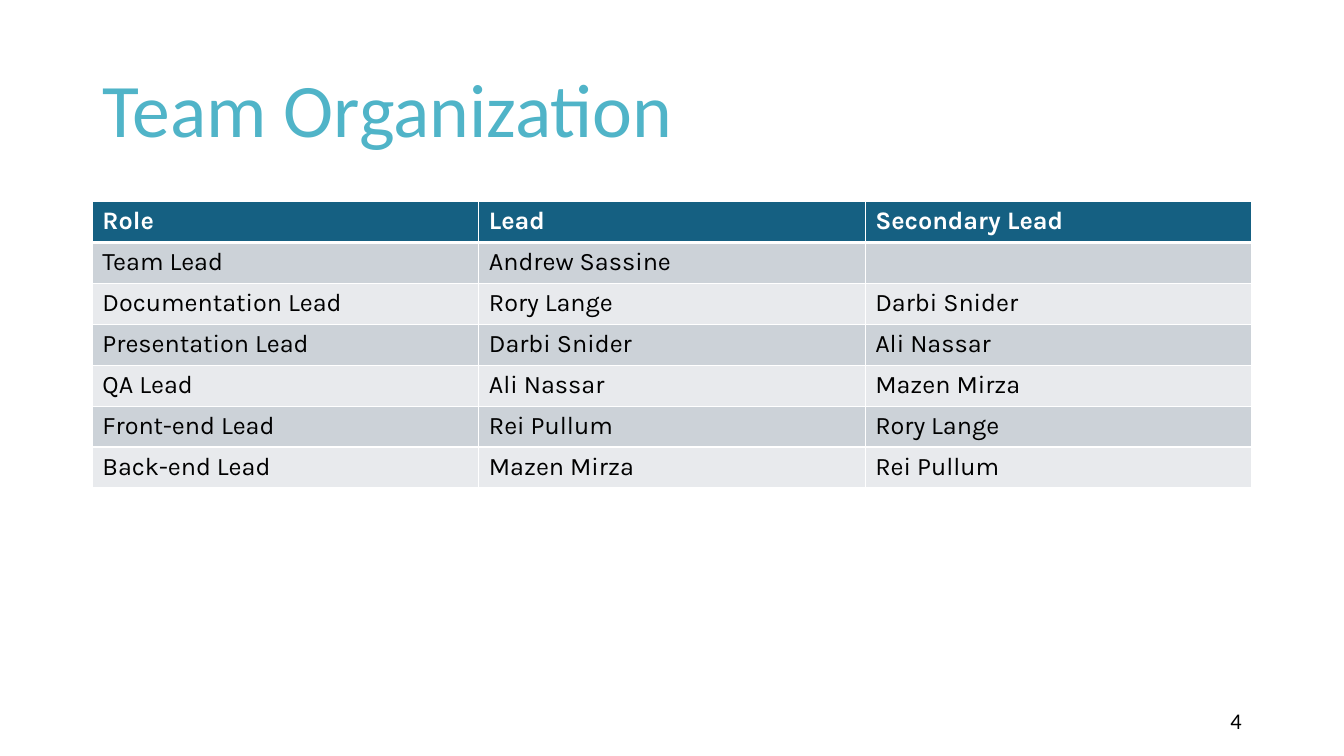
from lxml import etree
from pptx import Presentation
from pptx import util as u
from pptx.dml.color import RGBColor
from pptx.enum import text
from pptx.oxml import ns

THEME = {
    "title": {"name": "Calibri", "size": u.Pt(54), "color": "50B4C8"},
    "header": {"name": "Karla", "size": u.Pt(18), "bold": True, "color": "FFFFFF"},
    "body": {"name": "Karla", "size": u.Pt(18), "bold": False, "color": "000000"},
    "number": {"name": "Calibri", "size": u.Pt(16), "color": "000000"},
    "header fill": "156082",
    "band fills": ("CCD2D8", "E8EAED"),
    "border": "FFFFFF",
}
TEAM = [
    ("Role", "Lead", "Secondary Lead"),
    ("Team Lead", "Andrew Sassine", ""),
    ("Documentation Lead", "Rory Lange", "Darbi Snider"),
    ("Presentation Lead", "Darbi Snider", "Ali Nassar"),
    ("QA Lead", "Ali Nassar", "Mazen Mirza"),
    ("Front-end Lead", "Rei Pullum", "Rory Lange"),
    ("Back-end Lead", "Mazen Mirza", "Rei Pullum"),
]

# Slide on a grid of 160 columns by 90 rows
deck = Presentation()
deck.slide_width, deck.slide_height = u.Inches(13.33), u.Inches(7.5)
column, row = deck.slide_width / 160, deck.slide_height / 90
page = deck.slides.add_slide(deck.slide_layouts[6])


def write(para, words, style):
    """Put words in a paragraph; an empty one still gets its font."""
    font = para.font
    if words:
        span = para.add_run()
        span.text = words
        font = span.font
    for key, value in THEME[style].items():
        if key == "color":
            font.color.rgb = RGBColor.from_string(value)
        else:
            setattr(font, key, value)


def grid_box(left, top, width, height):
    """Turn grid columns and rows into lengths."""
    return [u.Emu(round(n * step)) for n, step in
            zip((left, top, width, height), (column, row, column, row))]


# Title and page number
labels = [
    ("Team Organization", "title", (11, 4.8, 138, 17.4),
     {"alignment": text.PP_ALIGN.LEFT, "line_spacing": 0.9}),
    ("4", "number", (113, 83.4, 36, 4.8), {"alignment": text.PP_ALIGN.RIGHT}),
]
for words, style, place, layout in labels:
    frame = page.shapes.add_textbox(*grid_box(*place)).text_frame
    frame.word_wrap = True
    frame.vertical_anchor = text.MSO_ANCHOR.MIDDLE
    para = frame.paragraphs[0]
    for key, value in layout.items():
        setattr(para, key, value)
    write(para, words, style)

# Team table, with equal columns and rows
table = page.shapes.add_table(len(TEAM), len(TEAM[0]), *grid_box(11, 24, 138, 34.1)).table
for line, entries in enumerate(TEAM):
    for place, words in enumerate(entries):
        cell = table.cell(line, place)
        write(cell.text_frame.paragraphs[0], words, "body" if line else "header")

        # White borders, thicker under the header
        widths = {"L": 1, "R": 1, "T": 3 if line == 1 else 1, "B": 1 if line else 3}
        properties = cell._tc.get_or_add_tcPr()
        for side, points in widths.items():
            border = etree.SubElement(properties, ns.qn(f"a:ln{side}"), w=str(u.Pt(points)))
            paint = etree.SubElement(border, ns.qn("a:solidFill"))
            etree.SubElement(paint, ns.qn("a:srgbClr"), val=THEME["border"])

        # Header colour, then alternating bands
        cell.fill.solid()
        shade = THEME["band fills"][(line - 1) % 2] if line else THEME["header fill"]
        cell.fill.fore_color.rgb = RGBColor.from_string(shade)

deck.save("out.pptx")
